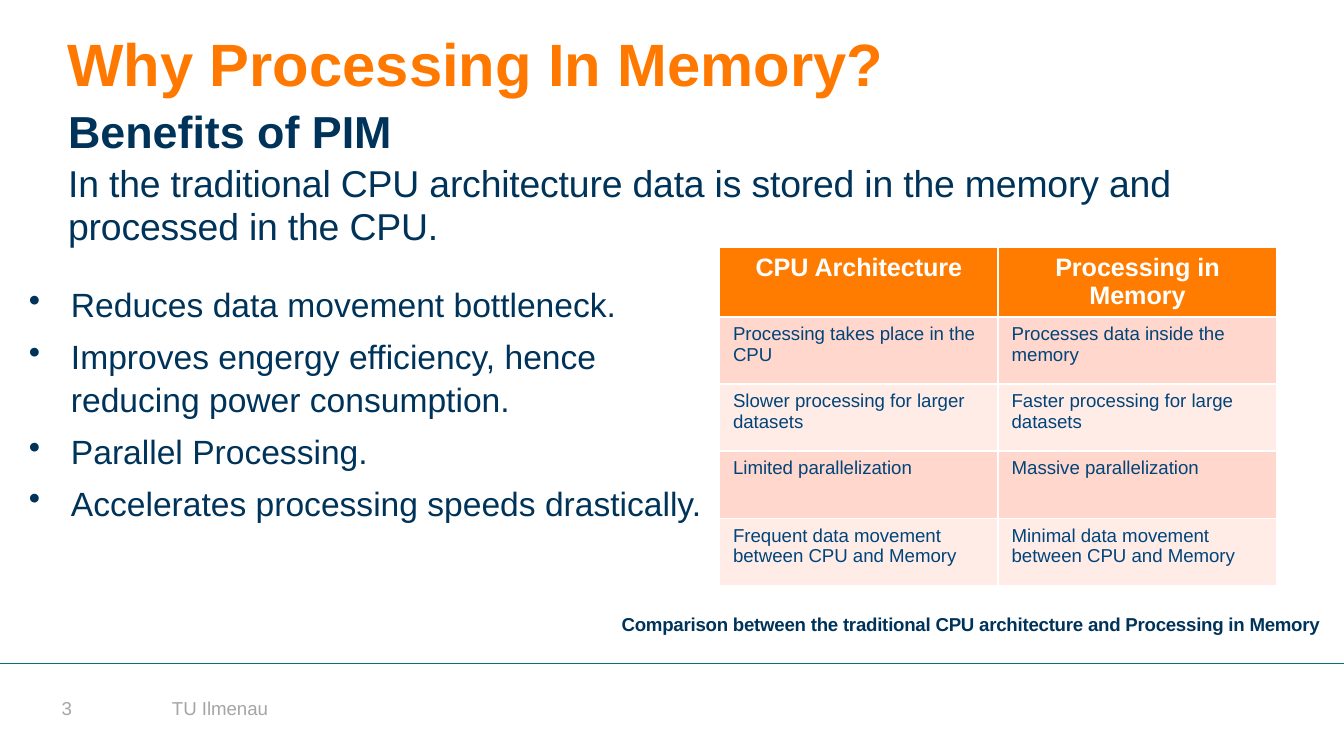
from lxml.etree import SubElement
from pptx import Presentation
from pptx.dml.color import RGBColor
from pptx.enum.shapes import MSO_CONNECTOR
from pptx.enum.text import MSO_ANCHOR, MSO_AUTO_SIZE, PP_ALIGN
from pptx.oxml.ns import qn
from pptx.util import Pt

COLORS = {
    "navy": "003359", "orange": "FF7900", "gray": "A5A5A5", "rule": "007479",
    "header": "FF7C00", "white": "FFFFFF", "cell": "004479",
    "dark band": "FFD7CC", "light band": "FFECE7",
}


def style_paragraph(paragraph, size, color, bold=False, line=None, before=None, tracking=None):
    font = paragraph.font
    font.name, font.size, font.bold = "Arial", Pt(size), bold
    font.color.rgb = RGBColor.from_string(COLORS[color])
    if line:
        paragraph.line_spacing = line
    if before:
        paragraph.space_before = Pt(before)
    if tracking:
        font._rPr.set("spc", str(tracking))


def fill_frame(shape, box, lines, margins=(0, 0, 0, 0), anchor=MSO_ANCHOR.TOP, **style):
    shape.left, shape.top, shape.width, shape.height = [Pt(value) for value in box]
    frame = shape.text_frame
    frame.text = "\n".join(lines)
    frame.word_wrap = True
    frame.auto_size = MSO_AUTO_SIZE.NONE
    frame.vertical_anchor = anchor
    (frame.margin_left, frame.margin_top,
     frame.margin_right, frame.margin_bottom) = [Pt(value) for value in margins]
    for paragraph in frame.paragraphs:
        paragraph.alignment = PP_ALIGN.LEFT
        style_paragraph(paragraph, **style)
    return frame


presentation = Presentation()
presentation.slide_width, presentation.slide_height = Pt(720), Pt(405)
slide = presentation.slides.add_slide(presentation.slide_layouts[5])
shapes = slide.shapes

footer_line = shapes.add_connector(MSO_CONNECTOR.STRAIGHT, 0, Pt(355.5), Pt(720), Pt(355.5))
footer_line.line.color.rgb = RGBColor.from_string(COLORS["rule"])
footer_line.line.width = Pt(0.5)
SubElement(footer_line._element.spPr, qn("a:effectLst"))

fill_frame(shapes.title, (36, 18.5, 648, 41), ["Why Processing In Memory?"],
           margins=(0, 0, 7.2, 3.6), size=32, color="orange", bold=True, line=0.9, before=7.5)

texts = [
    ((36.5, 59, 648, 36.5), "Benefits of PIM",
     dict(size=24, color="navy", bold=True, line=0.9, before=7.5)),
    ((36.5, 87, 671.5, 47),
     "In the traditional CPU architecture data is stored in the memory and processed in the CPU.",
     dict(size=20, color="navy", line=Pt(23), before=4.8, tracking=-10)),
    ((333, 317.5, 387, 19.5),
     "Comparison between the traditional CPU architecture and Processing in Memory",
     dict(size=10, color="navy", bold=True, line=Pt(23), before=4.8, tracking=-10)),
    ((33, 368.5, 52, 22), "3",
     dict(size=10, color="gray", margins=(0, 3.6, 7.2, 3.6), anchor=MSO_ANCHOR.MIDDLE)),
    ((85, 368.5, 428, 22), "TU Ilmenau",
     dict(size=10, color="gray", margins=(7.2, 3.6, 7.2, 3.6), anchor=MSO_ANCHOR.MIDDLE)),
]
for box, text, style in texts:
    fill_frame(shapes.add_textbox(0, 0, 0, 0), box, [text], **style)

benefits = [
    "Reduces data movement bottleneck.",
    "Improves engergy efficiency, hence reducing power consumption.",
    "Parallel Processing.",
    "Accelerates processing speeds drastically.",
]
benefit_frame = fill_frame(shapes.add_textbox(0, 0, 0, 0), (15.5, 151, 361.5, 163.5), benefits,
                           size=18, color="navy", line=Pt(23), before=4.8)
for paragraph in benefit_frame.paragraphs:
    properties = paragraph._p.get_or_add_pPr()
    properties.set("marL", str(Pt(22.5)))
    properties.set("indent", str(-Pt(22.5)))
    bullet = properties.makeelement(qn("a:buChar"), {"char": "•"})
    properties.find(qn("a:defRPr")).addprevious(bullet)

rows = [
    ("CPU Architecture", "Processing in Memory"),
    ("Processing takes place in the CPU", "Processes data inside the memory"),
    ("Slower processing for larger datasets", "Faster processing for large datasets"),
    ("Limited parallelization", "Massive parallelization"),
    ("Frequent data movement between CPU and Memory",
     "Minimal data movement between CPU and Memory"),
]
table = shapes.add_table(len(rows), 2, Pt(385.5), Pt(132.5), Pt(298.5), Pt(180)).table
for row_index, row in enumerate(rows):
    table.rows[row_index].height = Pt(36)
    is_header = row_index == 0
    band = "header" if is_header else "dark band" if row_index % 2 else "light band"
    for column_index, text in enumerate(row):
        cell = table.cell(row_index, column_index)
        cell.text = text
        cell.fill.solid()
        cell.fill.fore_color.rgb = RGBColor.from_string(COLORS[band])
        paragraph = cell.text_frame.paragraphs[0]
        if is_header:
            paragraph.alignment = PP_ALIGN.CENTER
            style_paragraph(paragraph, 13.5, "white", bold=True)
        else:
            style_paragraph(paragraph, 10, "cell")

presentation.save("out.pptx")
